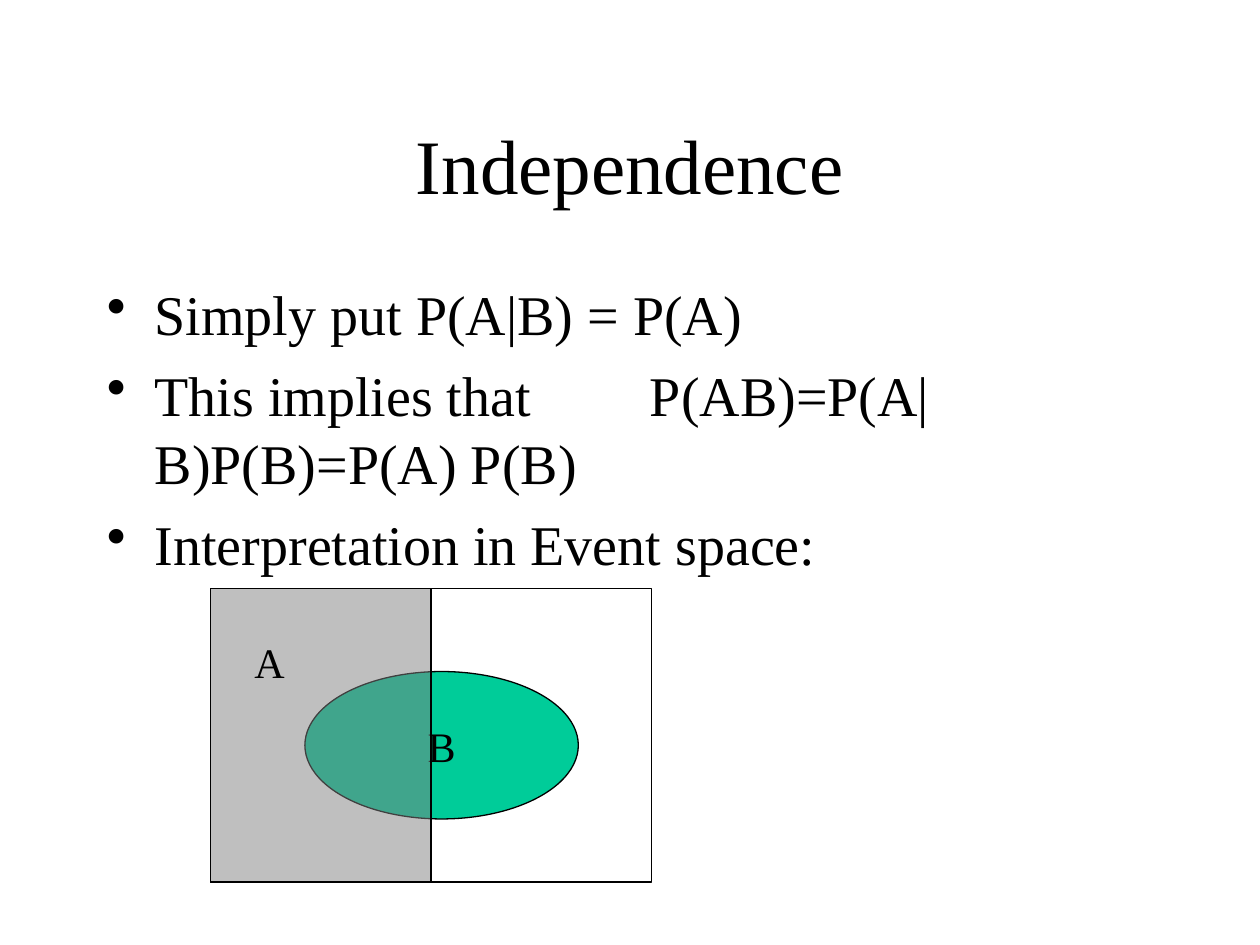
from lxml.etree import SubElement
from pptx import Presentation
from pptx.dml.color import RGBColor
from pptx.enum.shapes import MSO_SHAPE
from pptx.enum.text import MSO_ANCHOR, PP_ALIGN
from pptx.oxml.ns import qn
from pptx.util import Inches, Pt

COLORS = {"ink": "000000", "event_a": "808080", "event_b": "00CC99"}
FONT = "Times New Roman"


def write(paragraph, text, size=24, align=PP_ALIGN.LEFT, before=0):
    paragraph.text = text
    paragraph.alignment = align
    paragraph.space_before = Pt(before)
    paragraph.font.name = FONT
    paragraph.font.size = Pt(size)
    paragraph.font.color.rgb = RGBColor.from_string(COLORS["ink"])


def add_bullet(paragraph, indent=0.38, tab=None):
    props = paragraph._p.get_or_add_pPr()
    props.set("marL", str(Inches(indent)))
    props.set("indent", str(-Inches(indent)))
    SubElement(props, qn("a:buChar"), char="•")
    if tab:
        stops = SubElement(props, qn("a:tabLst"))
        SubElement(stops, qn("a:tab"), pos=str(Inches(tab)), algn="l")


class SlideBuilder:
    def __init__(self, slide):
        self.slide = slide

    def text_box(self, left, top, width, height, anchor=MSO_ANCHOR.TOP):
        box = self.slide.shapes.add_textbox(
            Inches(left), Inches(top), Inches(width), Inches(height))
        frame = box.text_frame
        frame.word_wrap = True
        frame.vertical_anchor = anchor
        return frame

    def region(self, kind, left, top, width, height, color=None, opacity=None):
        shape = self.slide.shapes.add_shape(
            kind, Inches(left), Inches(top), Inches(width), Inches(height))
        shape.shadow.inherit = False
        shape.line.color.rgb = RGBColor.from_string(COLORS["ink"])
        shape.line.width = Pt(0.75)
        if color is None:
            shape.fill.background()
            return shape
        shape.fill.solid()
        shape.fill.fore_color.rgb = RGBColor.from_string(COLORS[color])
        if opacity is not None:
            tone = shape._element.spPr.find(qn("a:solidFill"))[0]
            SubElement(tone, qn("a:alpha"), val=str(opacity * 1000))
        return shape


def main():
    deck = Presentation()
    deck.slide_width, deck.slide_height = Inches(10), Inches(7.5)
    builder = SlideBuilder(deck.slides.add_slide(deck.slide_layouts[6]))

    # Title
    title = builder.text_box(0.75, 0.67, 8.5, 1.25, MSO_ANCHOR.MIDDLE)
    write(title.paragraphs[0], "Independence", size=44, align=PP_ALIGN.CENTER)

    # Bulleted statements, the second with its formula on a tab stop
    statements = [
        ("Simply put P(A|B) = P(A)", None),
        ("This implies that\tP(AB)=P(A|B)P(B)=P(A) P(B)", 4.31),
        ("Interpretation in Event space:", None),
    ]
    body = builder.text_box(0.75, 2.17, 8.5, 4.5)
    for index, (statement, tab) in enumerate(statements):
        paragraph = body.add_paragraph() if index else body.paragraphs[0]
        add_bullet(paragraph, tab=tab)
        write(paragraph, statement, size=32, before=8 if index else 0)

    # Event space: B, then A as its translucent left half, then the frame
    left, top, width, height = 1.67, 4.67, 3.5, 2.33
    event_b = builder.region(MSO_SHAPE.OVAL, 2.42, 5.33, 2.17, 1.17, "event_b")
    event_b.text_frame.word_wrap = False
    event_b.text_frame.vertical_anchor = MSO_ANCHOR.MIDDLE
    write(event_b.text_frame.paragraphs[0], "B", align=PP_ALIGN.CENTER)
    builder.region(MSO_SHAPE.RECTANGLE, left, top, width / 2, height,
                   "event_a", opacity=50)
    label_a = builder.text_box(1.92, 5, 0.5, 0.5)
    write(label_a.paragraphs[0], "A")
    builder.region(MSO_SHAPE.RECTANGLE, left, top, width, height)

    deck.save("out.pptx")


if __name__ == "__main__":
    main()
